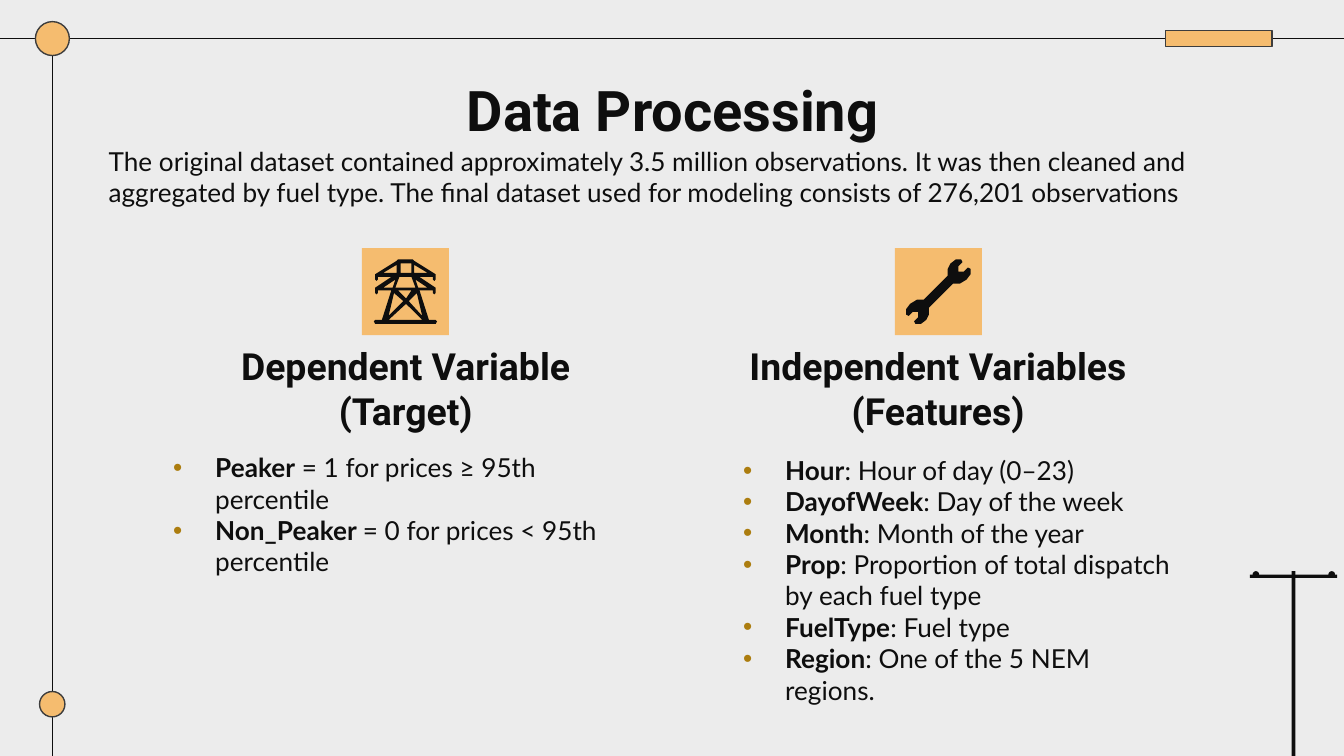
from lxml import etree
from pptx import Presentation
from pptx.dml.color import RGBColor
from pptx.enum.shapes import MSO_CONNECTOR, MSO_SHAPE
from pptx.enum.text import MSO_ANCHOR, PP_ALIGN
from pptx.oxml.ns import qn
from pptx.util import Pt

RECT, OVAL = MSO_SHAPE.RECTANGLE, MSO_SHAPE.OVAL
STRAIGHT = MSO_CONNECTOR.STRAIGHT
TOP, BOTTOM = MSO_ANCHOR.TOP, MSO_ANCHOR.BOTTOM
LEFT, CENTER = PP_ALIGN.LEFT, PP_ALIGN.CENTER
INK, ORANGE, OUTLINE = "0E0E0E", "F5BC6F", "3D3D3D"
BACKGROUND, BULLET = "ECECEC", "AC7D0F"
TITLE = {"name": "Roboto", "size": Pt(30), "bold": True}
HEADING = {"name": "Roboto", "size": Pt(20), "bold": True}
BODY = {"name": "Lato", "size": Pt(14), "bold": False}
TERM = {**BODY, "bold": True}


def paint(shape, fill, outline=None):
    shape.shadow.inherit = False
    shape.fill.solid()
    shape.fill.fore_color.rgb = RGBColor.from_string(fill)
    if outline:
        shape.line.color.rgb = RGBColor.from_string(outline)
        shape.line.width = Pt(0.75)
    else:
        shape.line.fill.background()


def write(box, paragraphs, align=LEFT, anchor=TOP, bulleted=False):
    frame = slide.shapes.add_textbox(*map(Pt, box)).text_frame
    frame.word_wrap = True
    frame.vertical_anchor = anchor
    for side in ("left", "top", "right", "bottom"):
        setattr(frame, f"margin_{side}", Pt(7.2))
    for index, runs in enumerate(paragraphs):
        paragraph = frame.add_paragraph() if index else frame.paragraphs[0]
        paragraph.alignment = align
        for text, style in runs:
            run = paragraph.add_run()
            run.text = text
            run.font.color.rgb = RGBColor.from_string(INK)
            for attribute, value in style.items():
                setattr(run.font, attribute, value)
        if bulleted:
            properties = paragraph._p.get_or_add_pPr()
            properties.set("marL", str(Pt(22.5)))
            properties.set("indent", str(-Pt(22.5)))
            bullet_color = etree.SubElement(properties, qn("a:buClr"))
            etree.SubElement(bullet_color, qn("a:srgbClr"), val=BULLET)
            etree.SubElement(properties, qn("a:buFont"), typeface="Arial")
            etree.SubElement(properties, qn("a:buChar"), char="•")


presentation = Presentation()
presentation.slide_width, presentation.slide_height = Pt(720), Pt(405)
slide = presentation.slides.add_slide(presentation.slide_layouts[6])
slide.background.fill.solid()
slide.background.fill.fore_color.rgb = RGBColor.from_string(BACKGROUND)

for ends in [(0, 20.8, 720, 20.8), (28.1, 20.8, 28.1, 405)]:
    rail = slide.shapes.add_connector(STRAIGHT, *map(Pt, ends))
    rail.line.color.rgb = RGBColor.from_string(INK)
    rail.line.width = Pt(0.75)
    etree.SubElement(rail._element.spPr, qn("a:effectLst"))

decorations = [
    (RECT, (624.5, 16.5, 57, 8.5), ORANGE, OUTLINE),
    (OVAL, (19, 11.6, 18.2, 18.2), ORANGE, OUTLINE),
    (OVAL, (21.2, 370.5, 13.6, 13.6), ORANGE, OUTLINE),
    (RECT, (669.6, 307.8, 46.8, 1.8), INK, None),
    (RECT, (692, 306, 2, 99), INK, None),
    (OVAL, (671, 306, 3.6, 3.6), INK, None),
    (OVAL, (711.6, 306, 3.6, 3.6), INK, None),
    (RECT, (193.9, 133, 46.6, 46.6), ORANGE, None),
    (RECT, (479.4, 133, 46.6, 46.6), ORANGE, None),
]
for preset, box, fill, outline in decorations:
    paint(slide.shapes.add_shape(preset, *map(Pt, box)), fill, outline)

jaw = [(48, 7), (46, 6), (43, 9), (39, 9), (39, 5), (42, 2), (41, 0), (37, 0.5),
       (33, 3), (30.7, 7), (31, 12), (13, 30), (11.5, 29.5), (7.5, 30), (3, 33), (0.5, 37)]
wrench = [jaw + [(48 - x, 48 - y) for x, y in jaw]]

tower_side = [(29, 0), (30, 1), (46, 11), (46, 15), (45, 15.5), (44, 15), (44, 13),
              (34, 13), (46, 21), (46, 25), (45, 26), (44, 25), (44, 23), (34, 23),
              (41, 45), (46, 45), (47, 46.5), (46, 48)]
side_gaps = [
    [(17, 4), (17, 10), (7, 10)],
    [(16, 15), (14, 21), (7, 21)],
    [(15, 25), (21.5, 31), (11, 42)],
]
pylon = [
    tower_side + [(47 - x, y) for x, y in reversed(tower_side)],
    [(19.5, 3), (27.5, 3), (27.5, 10), (19.5, 10)],
    [(19, 13), (28, 13), (31, 21), (16, 21)],
    [(18.5, 23), (28.5, 23), (23.5, 29)],
    [(23.5, 33), (36, 45), (11, 45)],
    *side_gaps,
    *[[(47 - x, y) for x, y in gap] for gap in side_gaps],
]
for contours, left in [(pylon, 200.3), (wrench, 485.4)]:
    outline = slide.shapes.build_freeform(*contours[0][0], scale=Pt(0.72))
    outline.add_line_segments(contours[0][1:])
    for contour in contours[1:]:
        outline.move_to(*contour[0])
        outline.add_line_segments(contour[1:])
    paint(outline.convert_to_shape(Pt(left), Pt(139)), INK)

write((56.9, 33.1, 607, 45.4), [[("Data Processing", TITLE)]], CENTER)
write((51.1, 70.6, 642.2, 46.8), [[(
    "The original dataset contained approximately 3.5 million observations. "
    "It was then cleaned and aggregated by fuel type. "
    "The final dataset used for modeling consists of 276,201 observations", BODY)]])
write((105.8, 185.8, 223.2, 53.3), [[("Dependent Variable (Target)", HEADING)]], CENTER, BOTTOM)
write((391, 185.8, 223.2, 53.3), [[("Independent Variables (Features)", HEADING)]], CENTER, BOTTOM)

targets = [
    ("Peaker", " = 1 for prices ≥ 95th percentile"),
    ("Non_Peaker ", "= 0 for prices < 95th percentile"),
]
features = [
    ("Hour", ": Hour of day (0–23)"),
    ("DayofWeek", ": Day of the week"),
    ("Month", ": Month of the year"),
    ("Prop", ": Proportion of total dispatch by each fuel type"),
    ("FuelType", ": Fuel type"),
    ("Region", ": One of the 5 NEM regions."),
]
for box, variables in [((85.7, 234.7, 265, 80), targets), ((391, 236.2, 243.4, 80), features)]:
    write(box, [[(term, TERM), (meaning, BODY)] for term, meaning in variables], bulleted=True)

presentation.save("out.pptx")
